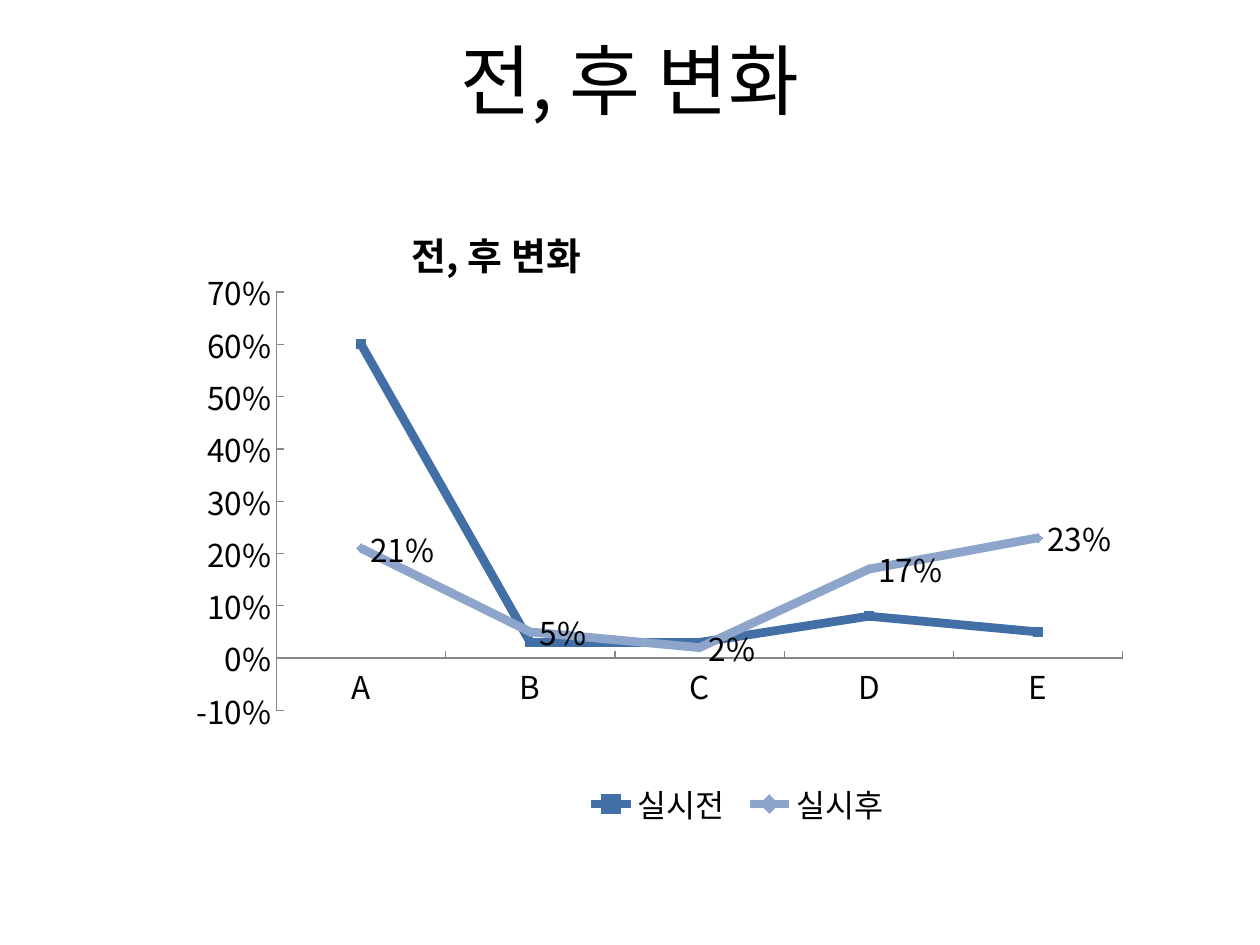
import pptx
import pptx.chart.data
import pptx.dml.color
import pptx.enum.chart
import pptx.enum.text
import pptx.oxml
import pptx.oxml.ns
import pptx.util

FONT = "Noto Sans CJK KR"
HEADING = "전, 후 변화"
BLACK = pptx.dml.color.RGBColor(0, 0, 0)
AXIS_GRAY = pptx.dml.color.RGBColor(0x87, 0x87, 0x87)
BEFORE_BLUE = pptx.dml.color.RGBColor(0x41, 0x6F, 0xA6)
AFTER_BLUE = pptx.dml.color.RGBColor(0x8E, 0xA5, 0xCB)
Cm = pptx.util.Cm
Pt = pptx.util.Pt
qn = pptx.oxml.ns.qn


def style_font(font, size, bold=False):
    font.name = FONT
    font.size = Pt(size)
    font.bold = bold
    font.color.rgb = BLACK


def set_layout(parent, position, after=None, inner=False):
    for old in parent.findall(qn("c:layout")):
        parent.remove(old)
    target = '<c:layoutTarget val="inner"/>' if inner else ""
    modes = "".join(f'<c:{axis}Mode val="edge"/>' for axis in "xy")
    values = "".join(f'<c:{side} val="{value}"/>'
                     for side, value in zip("xywh", position))
    layout = pptx.oxml.parse_xml(
        f"<c:layout {pptx.oxml.ns.nsdecls('c')}><c:manualLayout>"
        f"{target}{modes}{values}</c:manualLayout></c:layout>")
    if after is None:
        parent.insert(0, layout)
    else:
        parent.find(qn(after)).addnext(layout)


def place_title(slide, left, top, width, height):
    title = slide.shapes.title
    title.left, title.top, title.width, title.height = left, top, width, height
    frame = title.text_frame
    frame.text = HEADING
    frame.vertical_anchor = pptx.enum.text.MSO_ANCHOR.MIDDLE
    heading = frame.paragraphs[0]
    heading.alignment = pptx.enum.text.PP_ALIGN.CENTER
    style_font(heading.font, 44)


def format_axes(chart):
    for axis in (chart.category_axis, chart.value_axis):
        axis.has_major_gridlines = False
        axis.major_tick_mark = pptx.enum.chart.XL_TICK_MARK.INSIDE
        axis.minor_tick_mark = pptx.enum.chart.XL_TICK_MARK.NONE
        axis.format.line.color.rgb = AXIS_GRAY
        axis.format.line.width = Pt(0.75)
        style_font(axis.tick_labels.font, 18)
    percent = chart.value_axis
    percent.minimum_scale = -0.1
    percent.maximum_scale = 0.7
    percent.major_unit = 0.1
    percent.tick_labels.number_format = "0%"
    percent.tick_labels.number_format_is_linked = False


def format_series(series, color, marker_style):
    series.smooth = False
    series.format.line.color.rgb = color
    series.format.line.width = Pt(5)
    series.marker.style = marker_style
    series.marker.size = 5
    series.marker.format.fill.solid()
    series.marker.format.fill.fore_color.rgb = color
    series.marker.format.line.color.rgb = color


def label_values(series):
    labels = series.data_labels
    labels.show_value = True
    labels.number_format = "0%"
    labels.number_format_is_linked = False
    labels.position = pptx.enum.chart.XL_LABEL_POSITION.RIGHT
    style_font(labels.font, 18)


def place_chart(slide, left, top, width, height):
    data = pptx.chart.data.CategoryChartData(number_format="0%")
    data.categories = "ABCDE"
    data.add_series("실시전", (0.6, 0.03, 0.03, 0.08, 0.05))
    data.add_series("실시후", (0.21, 0.05, 0.02, 0.17, 0.23))
    chart = slide.shapes.add_chart(
        pptx.enum.chart.XL_CHART_TYPE.LINE_MARKERS,
        left, top, width, height, data).chart
    style_font(chart.font, 18)

    chart.has_title = True
    chart_title = chart.chart_title
    chart_title.text_frame.text = HEADING
    style_font(chart_title.text_frame.paragraphs[0].font, 21.6, bold=True)
    chart_title.include_in_layout = False
    set_layout(chart_title._element, (0.29, 0.03), after="c:tx")

    chart.has_legend = True
    chart.legend.position = pptx.enum.chart.XL_LEGEND_POSITION.BOTTOM
    chart.legend.include_in_layout = False
    style_font(chart.legend.font, 18)
    set_layout(chart.legend._element, (0.45, 0.9, 0.3, 0.09),
               after="c:legendPos")

    format_axes(chart)
    plot = chart.plots[0]
    plot.vary_by_categories = False
    plot_area = chart._chartSpace.find(".//" + qn("c:plotArea"))
    set_layout(plot_area, (0.17, 0.15, 0.79, 0.65), inner=True)

    before, after = plot.series
    markers = pptx.enum.chart.XL_MARKER_STYLE
    format_series(before, BEFORE_BLUE, markers.SQUARE)
    format_series(after, AFTER_BLUE, markers.DIAMOND)
    label_values(after)


def main():
    presentation = pptx.Presentation()
    presentation.slide_width = Cm(25.4)
    presentation.slide_height = Cm(19.05)
    slide = presentation.slides.add_slide(presentation.slide_layouts[5])
    place_title(slide, Cm(0), Cm(0), presentation.slide_width, Cm(3.18))
    place_chart(slide, Cm(1.9), Cm(3.94), Cm(21.6), Cm(12.98))
    presentation.save("out.pptx")


if __name__ == "__main__":
    main()
